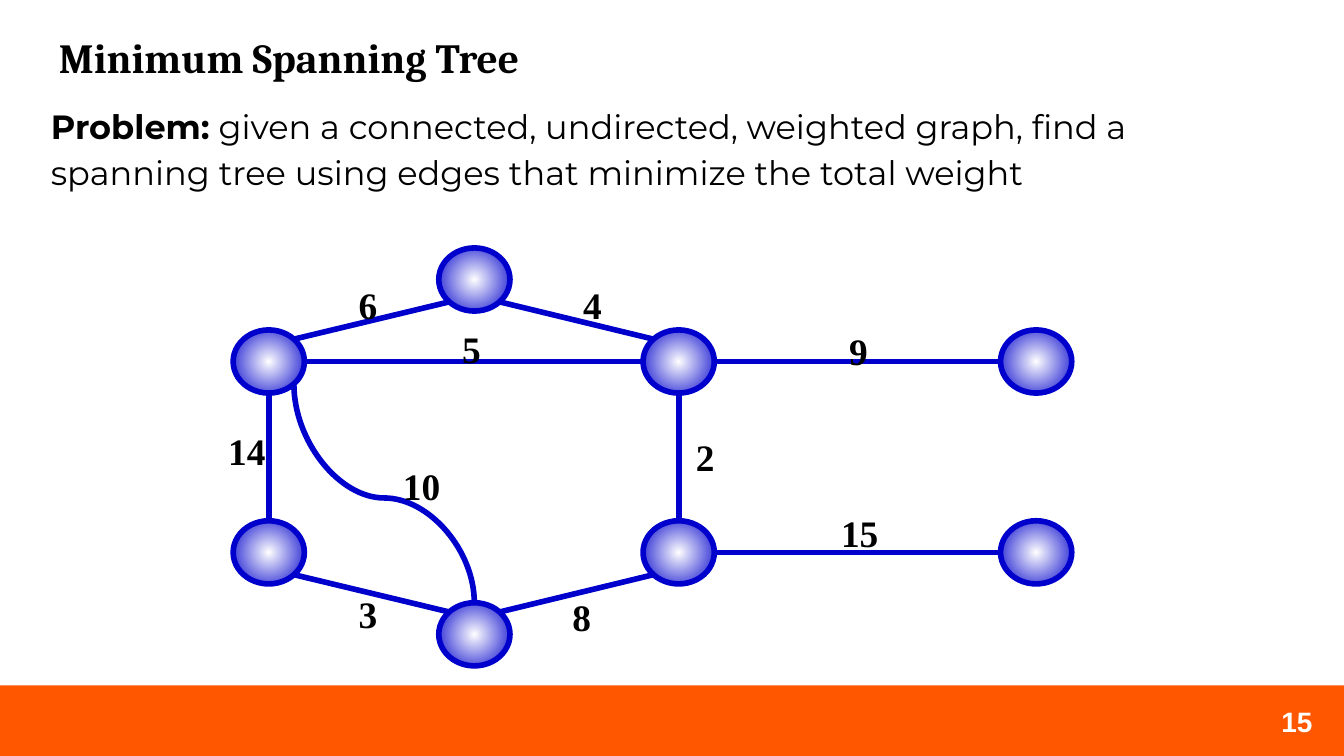
from math import sqrt
from lxml import etree
from pptx import Presentation
from pptx.dml.color import RGBColor
from pptx.enum.shapes import MSO_CONNECTOR as Link, MSO_SHAPE as Shape
from pptx.enum.text import MSO_ANCHOR as Anchor, PP_ALIGN as Align
from pptx.oxml.ns import qn
from pptx.util import Inches, Pt

# Content
TITLE = "Minimum Spanning Tree"
BODY = [("Problem:", True),
        (" given a connected, undirected, weighted graph, find a spanning tree "
         "using edges that minimize the total weight", False)]
PAGE = "15"
BLUE, ORANGE, BLACK, WHITE = "0000CC", "FF5700", "000000", "FFFFFF"

# Node centres
WIDE, HIGH = 0.53, 0.47
LEFT, MID, RIGHT, FAR = 2.0, 3.53, 5.05, 7.71
NODES = {
    "top": (MID, 2.08),
    "upper left": (LEFT, 2.69), "upper right": (RIGHT, 2.69), "upper far": (FAR, 2.69),
    "lower left": (LEFT, 4.11), "lower right": (RIGHT, 4.11), "lower far": (FAR, 4.11),
    "bottom": (MID, 4.72),
}

# Edges: node, side, node, side, weight, left and top of the label
EDGES = [
    ("top", "se", "upper right", "nw", "4", 4.24, 2.05),
    ("top", "sw", "upper left", "ne", "6", 2.57, 2.05),
    ("upper left", "e", "upper right", "w", "5", 3.34, 2.38),
    ("lower left", "n", "upper left", "s", "14", 1.6, 3.14),
    ("lower left", "se", "bottom", "nw", "3", 2.57, 4.35),
    ("bottom", "ne", "lower right", "sw", "8", 4.16, 4.37),
    ("lower right", "n", "upper right", "s", "2", 5.08, 3.18),
    ("upper right", "e", "upper far", "w", "9", 6.22, 2.39),
    ("lower right", "e", "lower far", "w", "15", 6.16, 3.75),
]
CURVE = ("bottom", "n", "upper left", "se", "10", 2.9, 3.4)
BEND = 47900

# Text formats
HEAD = dict(name="Cambria", size=Pt(22.2), bold=True)
PROSE = dict(name="Montserrat", size=Pt(18))
COUNT = dict(name="Arial", size=Pt(15), bold=True)
WEIGHT = dict(name="Times New Roman", size=Pt(20), bold=True)


def rgb(code):
    return RGBColor.from_string(code)


def write(box, runs, look, color=BLACK, pad=0.1):
    """Put a text box on the slide; runs are (text, bold) pairs."""
    frame = slide.shapes.add_textbox(*map(Inches, box)).text_frame
    sides = dict(word_wrap=True, margin_left=Inches(0.1), margin_right=Inches(0.1),
                 margin_top=Inches(pad), margin_bottom=Inches(pad))
    for key, value in sides.items():
        setattr(frame, key, value)
    for text, bold in runs:
        run = frame.paragraphs[0].add_run()
        run.text = text
        for key, value in {**look, "bold": bold}.items():
            setattr(run.font, key, value)
        run.font.color.rgb = rgb(color)
    return frame


def port(node, side):
    """Point on the rim of a node at a compass side."""
    x, y = NODES[node]
    dx = ("e" in side) - ("w" in side)
    dy = ("s" in side) - ("n" in side)
    span = sqrt(dx * dx + dy * dy)
    return x + dx / span * WIDE / 2, y + dy / span * HIGH / 2


def link(kind, start, end):
    line = slide.shapes.add_connector(kind, *map(Inches, start + end))
    line.line.color.rgb = rgb(BLUE)
    line.line.width = Pt(3)
    etree.SubElement(line.element.spPr, qn("a:effectLst"))
    return line


def node(x, y):
    oval = slide.shapes.add_shape(Shape.OVAL, Inches(x - WIDE / 2), Inches(y - HIGH / 2),
                                  Inches(WIDE), Inches(HIGH))
    oval.shadow.inherit = False
    oval.line.color.rgb = rgb(BLUE)
    oval.line.width = Pt(3)
    oval.fill.gradient()
    for stop, color in zip(oval.fill.gradient_stops, (WHITE, BLUE)):
        stop.color.rgb = rgb(color)
    # Radial from the centre
    grad = oval.element.spPr.find(qn("a:gradFill"))
    grad.remove(grad.find(qn("a:lin")))
    ring = etree.SubElement(grad, qn("a:path"), path="circle")
    etree.SubElement(ring, qn("a:fillToRect"), l="50000", t="50000", r="50000", b="50000")


# Widescreen slide, 16 to 9
deck = Presentation()
deck.slide_width = Inches(10)
deck.slide_height = deck.slide_width * 9 // 16
slide = deck.slides.add_slide(deck.slide_layouts[6])

# Footer band
top = Inches(5.1)
band = slide.shapes.add_shape(Shape.RECTANGLE, 0, top, deck.slide_width,
                              deck.slide_height - top)
band.shadow.inherit = False
band.fill.solid()
band.fill.fore_color.rgb = rgb(ORANGE)
band.line.fill.background()

# Problem, title and page number
prose = write((0.28, 0.64, 8.83, 4.35), BODY, PROSE)
prose.paragraphs[0].line_spacing = 1.15
write((0.34, 0.14, 9.32, 0.63), [(TITLE, True)], HEAD)
count = write((9.35, 5.15, 0.6, 0.43), [(PAGE, True)], COUNT, WHITE)
count.vertical_anchor = Anchor.MIDDLE
count.paragraphs[0].alignment = Align.CENTER

# Graph nodes and straight edges
for x, y in NODES.values():
    node(x, y)
for a, side, b, other, *_ in EDGES:
    link(Link.STRAIGHT, port(a, side), port(b, other))

# Curved edge: drawn sideways, then turned a quarter
a, side, b, other, *_ = CURVE
(x1, y1), (x2, y2) = port(a, side), port(b, other)
cx, cy = (x1 + x2) / 2, (y1 + y2) / 2
dx, dy = (y1 - y2) / 2, (x1 - x2) / 2
curve = link(Link.CURVE, (cx + dx, cy - dy), (cx - dx, cy + dy))
form = curve.element.spPr
form.find(qn("a:xfrm")).set("rot", "5400000")
bends = form.find(qn("a:prstGeom")).find(qn("a:avLst"))
etree.SubElement(bends, qn("a:gd"), name="adj1", fmla=f"val {BEND}")

# Edge weights
for *_, weight, x, y in EDGES + [CURVE]:
    wide = 0.83 if len(weight) > 1 else 0.31
    write((x, y, wide, 0.44), [(weight, True)], WEIGHT, pad=0.05)

deck.save("out.pptx")
